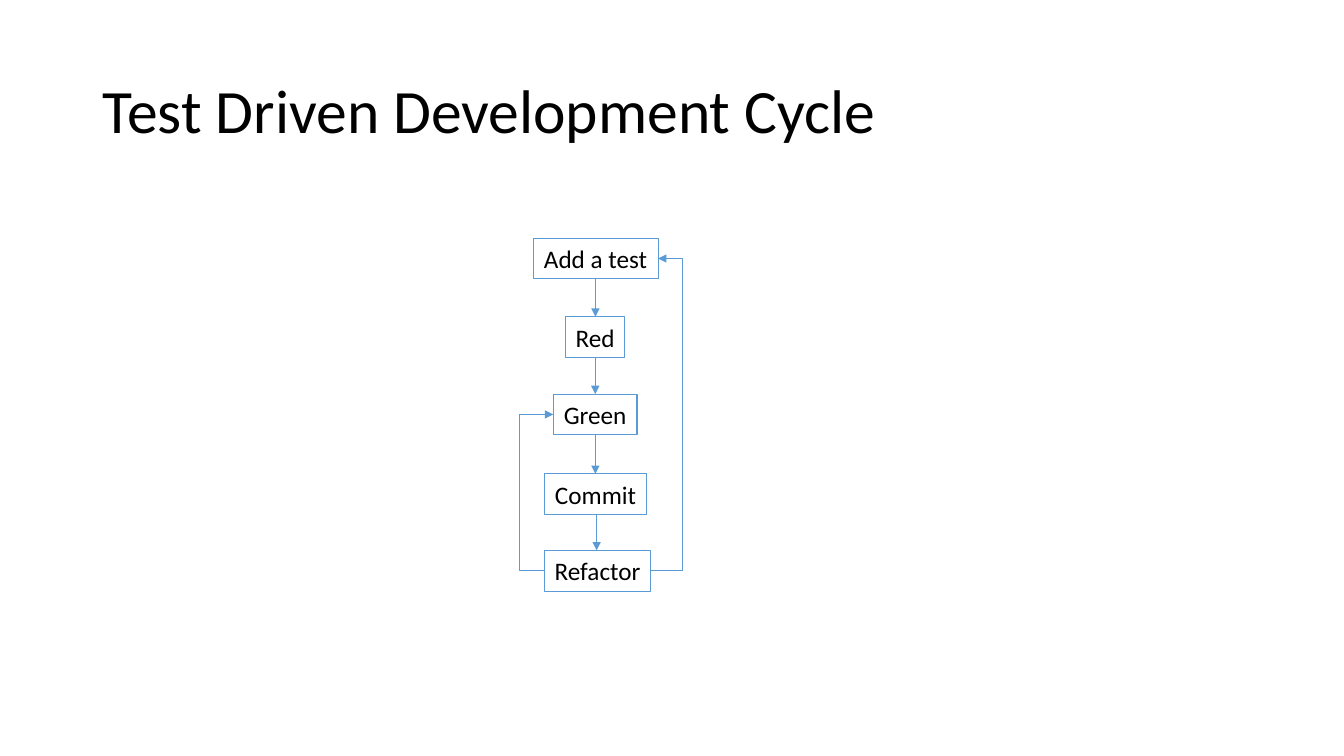
"""Build the Test Driven Development Cycle slide."""
from lxml.etree import SubElement
from pptx import Presentation
from pptx.dml.color import RGBColor
from pptx.enum.shapes import MSO_CONNECTOR, MSO_SHAPE
from pptx.enum.text import MSO_ANCHOR, MSO_AUTO_SIZE, PP_ALIGN
from pptx.oxml.ns import qn
from pptx.util import Cm, Pt

HEADING = "Test Driven Development Cycle"
STEPS = [
    ("Add a test", 15.01, 6.0, 3.15),
    ("Red", 15.0, 7.98, 1.5),
    ("Green", 15.0, 9.93, 2.11),
    ("Commit", 15.01, 11.94, 2.59),
    ("Refactor", 15.06, 13.87, 2.69),
]
LOOPS = [("Refactor", "Add a test", "right", 17.2), ("Refactor", "Green", "left", 13.08)]
STEP_HEIGHT = 1.03

THEME = {
    "accent": RGBColor(0x5B, 0x9B, 0xD5),
    "heading": {"name": "Calibri", "size": Pt(44), "color": RGBColor(0, 0, 0)},
    "step": {"name": "Calibri", "size": Pt(18), "color": RGBColor(0, 0, 0)},
    "border": Pt(0.75),
    "arrow": Pt(0.5),
}
HEADING_FRAME = {"word_wrap": True, "vertical_anchor": MSO_ANCHOR.MIDDLE}
HEADING_PARAGRAPH = {"alignment": PP_ALIGN.LEFT, "line_spacing": 0.9}
STEP_FRAME = {
    "word_wrap": False,
    "vertical_anchor": MSO_ANCHOR.MIDDLE,
    "auto_size": MSO_AUTO_SIZE.SHAPE_TO_FIT_TEXT,
}
STEP_PARAGRAPH = {"alignment": PP_ALIGN.CENTER}


def apply(target, values):
    for attribute, value in values.items():
        setattr(target, attribute, value)


def write(shape, wording, frame_format, paragraph_format, style):
    apply(shape.text_frame, frame_format)
    paragraph = shape.text_frame.paragraphs[0]
    apply(paragraph, paragraph_format)
    run = paragraph.add_run()
    run.text = wording
    apply(run.font, {"name": style["name"], "size": style["size"]})
    run.font.color.rgb = style["color"]


def draw_line(line, width):
    line.color.rgb = THEME["accent"]
    line.width = width


def add_arrow(slide, kind, start, end):
    arrow = slide.shapes.add_connector(kind, *map(Cm, start + end))
    draw_line(arrow.line, THEME["arrow"])
    properties = arrow._element.spPr
    SubElement(properties.find(qn("a:ln")), qn("a:tailEnd"), type="triangle")
    SubElement(properties, qn("a:effectLst"))
    return arrow


def add_step(slide, wording, centre, top, width):
    step = slide.shapes.add_shape(
        MSO_SHAPE.RECTANGLE, Cm(centre - width / 2), Cm(top), Cm(width), Cm(STEP_HEIGHT))
    step.shadow.inherit = False
    step.fill.background()
    draw_line(step.line, THEME["border"])
    write(step, wording, STEP_FRAME, STEP_PARAGRAPH, THEME["step"])


def side_point(wording, side):
    centre, top, width = next(step[1:] for step in STEPS if step[0] == wording)
    reach = width / 2 if side == "right" else -width / 2
    return centre + reach, top + STEP_HEIGHT / 2


def add_loop(slide, source, target, side, bend):
    start, end = side_point(source, side), side_point(target, side)
    loop = add_arrow(slide, MSO_CONNECTOR.ELBOW, start, end)
    ratio = (bend - start[0]) / (end[0] - start[0])
    geometry = loop._element.spPr.find(qn("a:prstGeom"))
    SubElement(geometry.find(qn("a:avLst")), qn("a:gd"),
               name="adj1", fmla=f"val {round(ratio * 100000)}")


deck = Presentation()
apply(deck, {"slide_width": Cm(33.87), "slide_height": Cm(19.05)})
cycle = deck.slides.add_slide(deck.slide_layouts[6])

heading = cycle.shapes.add_textbox(Cm(2.34), Cm(1.02), Cm(29.21), Cm(3.68))
write(heading, HEADING, HEADING_FRAME, HEADING_PARAGRAPH, THEME["heading"])

for step in STEPS:
    add_step(cycle, *step)
for (_, centre, top, _), (_, next_centre, next_top, _) in zip(STEPS, STEPS[1:]):
    middle = (centre + next_centre) / 2
    add_arrow(cycle, MSO_CONNECTOR.STRAIGHT, (middle, top + STEP_HEIGHT), (middle, next_top))
for loop in LOOPS:
    add_loop(cycle, *loop)

deck.save("out.pptx")
